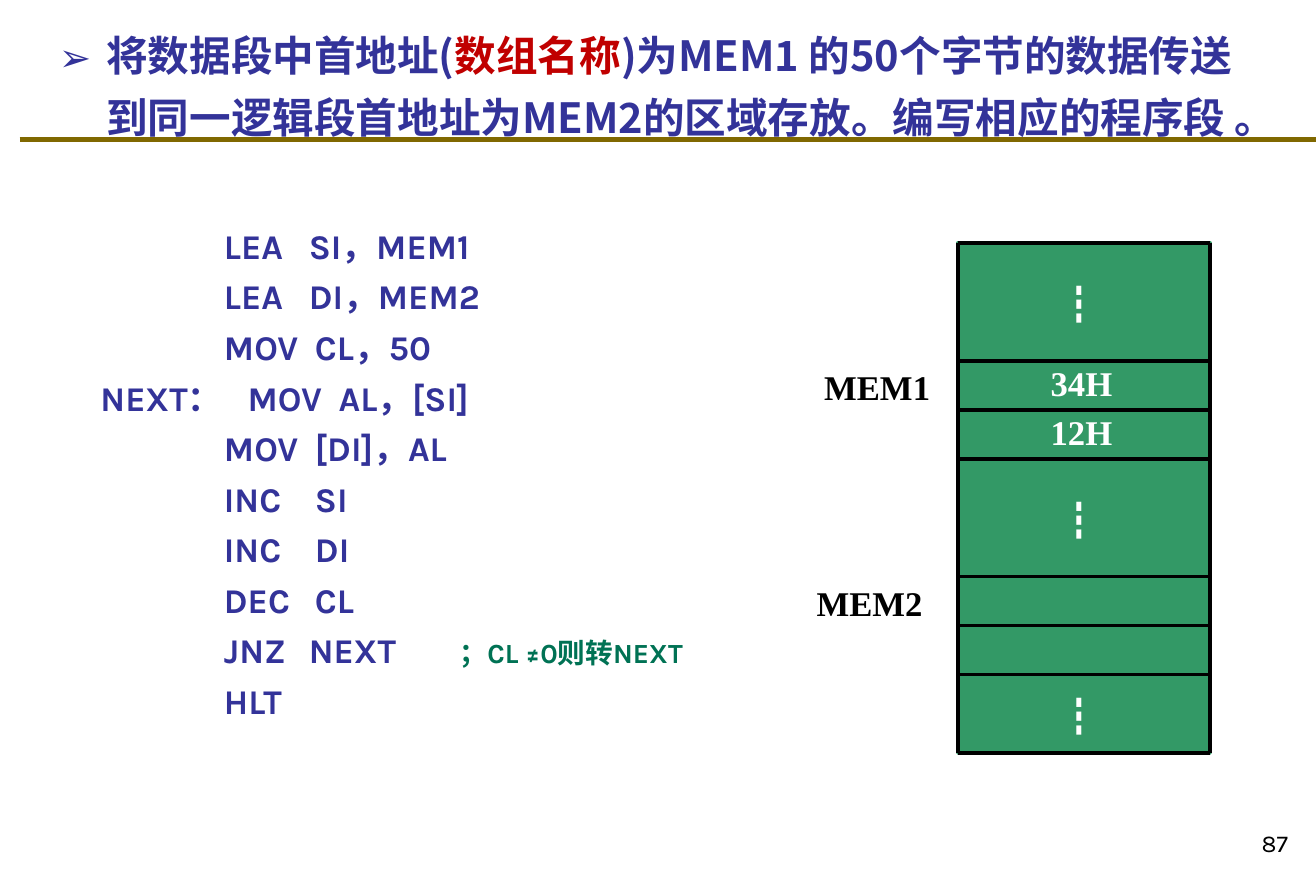
from itertools import accumulate

from lxml.etree import SubElement
from pptx import Presentation
from pptx.dml.color import RGBColor
from pptx.enum.shapes import MSO_CONNECTOR, MSO_SHAPE
from pptx.enum.text import MSO_ANCHOR as Anchor, PP_ALIGN as Align
from pptx.oxml.ns import qn
from pptx.util import Inches, Pt

WIDTH, HEIGHT = Inches(10.55), Inches(7.09)
SANS, CHINESE, SERIF = "Karla", "Noto Sans CJK SC", "Times New Roman"
NAVY, RED, GREEN, TEAL = "333399", "C00000", "339966", "007254"
BLACK, WHITE, OLIVE = "000000", "FFFFFF", "806800"

TITLE = [
    ("将数据段中首地址(", NAVY),
    ("数组名称", RED),
    (")为MEM1 的50个字节的数据传送到同一逻辑段首地址为MEM2的区域存放。编写相应的程序段 。", NAVY),
]
PROGRAM = [
    ("", "LEA", "SI，MEM1", ""),
    ("", "LEA", "DI，MEM2", ""),
    ("", "MOV", "CL，50", ""),
    ("NEXT：", "MOV", "AL，[SI]", ""),
    ("", "MOV", "[DI]，AL", ""),
    ("", "INC", "SI", ""),
    ("", "INC", "DI", ""),
    ("", "DEC", "CL", ""),
    ("", "JNZ", "NEXT", "；CL ≠0则转NEXT"),
    ("", "HLT", "", ""),
]
MEMORY_ROWS = (2.4, 1, 1, 2.4, 1, 1, 1.6)
MEMORY_VALUES = {1: "34H", 2: "12H"}
MEMORY_GAPS = (0, 3, 6)
MEMORY_LABELS = {1: ("MEM1", 0.58), 4: ("MEM2", 0.61)}


def color(value):
    return RGBColor.from_string(value)


def percent_box(left, top, width, height):
    return tuple(int(size * share / 100) for size, share in
                 zip((WIDTH, HEIGHT, WIDTH, HEIGHT), (left, top, width, height)))


def add_run(paragraph, text, size, name, value, bold=True):
    run = paragraph.add_run()
    run.text = text
    font = run.font
    font.size, font.name, font.bold = Pt(size), name, bold
    font.color.rgb = color(value)
    east_asian = CHINESE if name == SANS else name
    SubElement(font._element, qn("a:ea"), typeface=east_asian)


def add_text_frame(slide, box, anchor=Anchor.TOP):
    frame = slide.shapes.add_textbox(*box).text_frame
    frame.word_wrap = True
    frame.vertical_anchor = anchor
    return frame


def add_line(slide, box, value, weight):
    left, top, width, height = box
    line = slide.shapes.add_connector(
        MSO_CONNECTOR.STRAIGHT, left, top, left + width, top + height)
    line.line.color.rgb = color(value)
    line.line.width = Pt(weight)
    SubElement(line._element.spPr, qn("a:effectLst"))


def add_title(slide, box):
    paragraph = add_text_frame(slide, box).paragraphs[0]
    paragraph.line_spacing = 1.25
    properties = paragraph._p.get_or_add_pPr()
    properties.set("marL", str(Inches(0.38)))
    properties.set("indent", str(-Inches(0.38)))
    SubElement(properties, qn("a:buSzPct"), val="93000")
    SubElement(properties, qn("a:buFont"), typeface=CHINESE)
    SubElement(properties, qn("a:buChar"), char="➢")
    for text, value in TITLE:
        add_run(paragraph, text, 24, CHINESE, value)


def add_program(slide, box):
    frame = add_text_frame(slide, box)
    for index, (label, operation, operands, remark) in enumerate(PROGRAM):
        paragraph = frame.add_paragraph() if index else frame.paragraphs[0]
        paragraph.line_spacing = 1.05
        paragraph.space_before = Pt(4 if index else 0)
        shift = 0.19 if label else 0
        operand_stop = 1.67 if operation in ("LEA", "JNZ") else 1.72
        tabs = SubElement(paragraph._p.get_or_add_pPr(), qn("a:tabLst"))
        for stop in (0.99 + shift, operand_stop + shift, 2.88):
            SubElement(tabs, qn("a:tab"), pos=str(Inches(stop)), algn="l")
        code = "\t".join((label, operation, operands)).rstrip()
        add_run(paragraph, code, 20, SANS, NAVY)
        if remark:
            add_run(paragraph, "\t" + remark, 16, SANS, TEAL)


def add_memory(slide, box):
    left, top, width, height = box
    unit = height / sum(MEMORY_ROWS)
    edges = [int(top + end * unit) for end in accumulate(MEMORY_ROWS, initial=0)]

    block = slide.shapes.add_shape(MSO_SHAPE.RECTANGLE, *box)
    block.shadow.inherit = False
    block.fill.solid()
    block.fill.fore_color.rgb = color(GREEN)
    block.line.color.rgb = color(GREEN)
    block.line.width = Pt(2)
    for side in (left, left + width):
        add_line(slide, (side, top, 0, height), BLACK, 2)
    for edge in edges:
        add_line(slide, (left, edge, width, 0), BLACK, 2)

    def add_cell_text(row, start, share):
        cell = (left + int(width * start), edges[row],
                int(width * share), edges[row + 1] - edges[row])
        frame = add_text_frame(slide, cell, Anchor.MIDDLE)
        frame.margin_top = frame.margin_bottom = 0
        return frame

    for row in MEMORY_GAPS:
        frame = add_cell_text(row, 0.35, 0.35)
        frame.margin_top = Inches(0.03)
        add_run(frame.paragraphs[0], "┇", 24, CHINESE, WHITE, False)
    for row, value in MEMORY_VALUES.items():
        frame = add_cell_text(row, 0.27, 0.44)
        frame.margin_bottom = Inches(0.05)
        frame.paragraphs[0].alignment = Align.CENTER
        add_run(frame.paragraphs[0], value, 20, SERIF, WHITE)
    for row, (label, reach) in MEMORY_LABELS.items():
        frame = add_cell_text(row, -reach, reach)
        frame.margin_top = Inches(0.02)
        add_run(frame.paragraphs[0], label, 20, SERIF, BLACK)


def add_page_number(slide, box):
    paragraph = add_text_frame(slide, box, Anchor.BOTTOM).paragraphs[0]
    paragraph.alignment = Align.RIGHT
    add_run(paragraph, "87", 14, SANS, BLACK, False)


def main():
    presentation = Presentation()
    presentation.slide_width, presentation.slide_height = WIDTH, HEIGHT
    slide = presentation.slides.add_slide(presentation.slide_layouts[6])
    add_line(slide, percent_box(1.5, 15.8, 98.5, 0), OLIVE, 3)
    add_page_number(slide, percent_box(78, 91, 20.8, 6.7))
    add_program(slide, percent_box(6.7, 24.5, 58.3, 62.9))
    add_memory(slide, percent_box(72.8, 27.5, 19.15, 57.7))
    add_title(slide, percent_box(3.55, 1.27, 91.85, 14.25))
    presentation.save("out.pptx")


if __name__ == "__main__":
    main()
